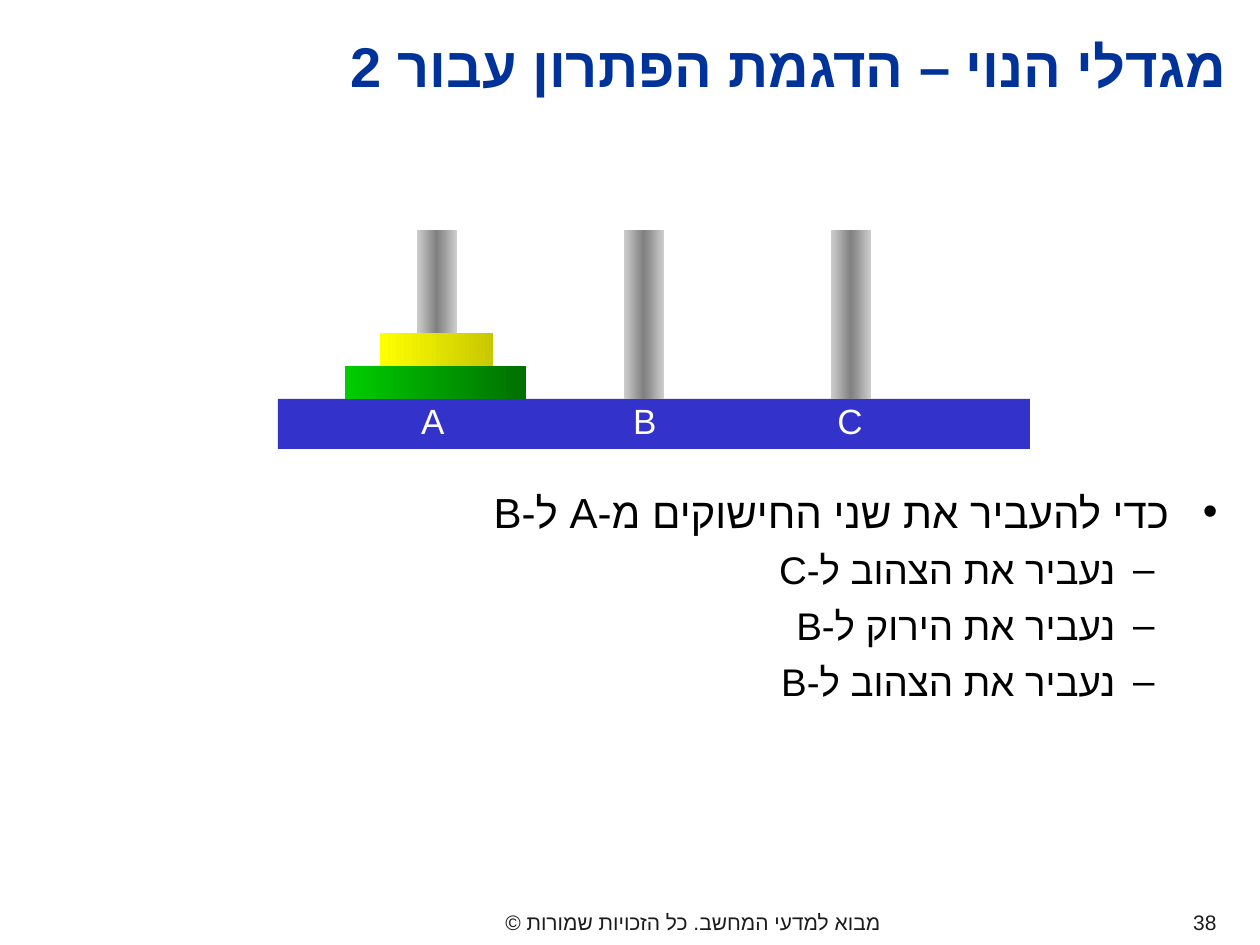
from dataclasses import dataclass

from lxml.etree import SubElement
from pptx import Presentation
from pptx.dml.color import RGBColor
from pptx.enum.shapes import MSO_SHAPE
from pptx.enum.text import MSO_ANCHOR, MSO_AUTO_SIZE, PP_ALIGN
from pptx.oxml.ns import qn
from pptx.util import Emu, Pt

EMU_PER_PX = 914400 / 126


def px(n):
    return Emu(round(n * EMU_PER_PX))


@dataclass(frozen=True)
class Theme:
    font: str = "Arial"
    title: str = "003399"
    text: str = "000000"
    footer: str = "1C1C1C"
    label: str = "FFFFFF"
    base: str = "3333CC"
    pole: tuple = ("CDCDCD", "808080", "CDCDCD")
    green: tuple = ("00CC00", "007000")
    yellow: tuple = ("FFFF00", "C8C800")
    title_size: int = 32
    body_size: int = 24
    sub_size: int = 22
    label_size: int = 20
    footer_size: int = 12


class Deck:
    """Style and current slide, with a method for each kind of element."""

    def __init__(self, theme):
        self.theme = theme
        self.prs = Presentation()
        self.prs.slide_width, self.prs.slide_height = px(1260), px(945)
        self.s = self.prs.slides.add_slide(self.prs.slide_layouts[1])

    def place(self, sp, box):
        sp.left, sp.top, sp.width, sp.height = map(px, box)

    def add_text(self, p, text, size, color, align=PP_ALIGN.RIGHT, bold=False, before=0):
        p.alignment = align
        p.space_before = Pt(before)
        p._p.get_or_add_pPr().set("rtl", "1")
        r = p.add_run()
        r.text = text
        r.font.name = self.theme.font
        r.font.size = Pt(size)
        r.font.bold = bold
        r.font.color.rgb = RGBColor.from_string(color)
        SubElement(r._r.rPr, qn("a:cs"), typeface=self.theme.font)

    def title(self, box, text):
        sp = self.s.shapes.title
        self.place(sp, box)
        tf = sp.text_frame
        tf.auto_size = MSO_AUTO_SIZE.NONE
        tf.vertical_anchor = MSO_ANCHOR.MIDDLE
        self.add_text(tf.paragraphs[0], text, self.theme.title_size, self.theme.title, bold=True)

    def bullets(self, box, items):
        sp = self.s.placeholders[1]
        self.place(sp, box)
        tf = sp.text_frame
        tf.auto_size = MSO_AUTO_SIZE.NONE
        styles = ((self.theme.body_size, 6, 48, -48, "•"), (self.theme.sub_size, 5.5, 102, -39, "–"))
        for i, (level, text) in enumerate(items):
            p = tf.add_paragraph() if i else tf.paragraphs[0]
            p.level = level
            size, before, margin, indent, char = styles[level]
            self.add_text(p, text, size, self.theme.text, before=before)
            pPr = p._p.pPr
            pPr.set("marL", str(px(margin)))
            pPr.set("indent", str(px(indent)))
            SubElement(pPr, qn("a:buChar"), char=char)

    def text(self, box, text, size, color, align=PP_ALIGN.CENTER, wrap=True, before=0):
        sp = self.s.shapes.add_textbox(*map(px, box))
        tf = sp.text_frame
        tf.word_wrap = wrap
        self.add_text(tf.paragraphs[0], text, size, color, align, before=before)

    def bar(self, box, *colors):
        sp = self.s.shapes.add_shape(MSO_SHAPE.RECTANGLE, *map(px, box))
        sp.shadow.inherit = False
        sp.line.fill.background()
        if len(colors) == 1:
            sp.fill.solid()
            sp.fill.fore_color.rgb = RGBColor.from_string(colors[0])
            return
        sp.fill.gradient()
        sp.fill.gradient_angle = 0
        stops = sp._element.spPr.find(qn("a:gradFill")).find(qn("a:gsLst"))
        for gs in list(stops):
            stops.remove(gs)
        for i, color in enumerate(colors):
            gs = SubElement(stops, qn("a:gs"), pos=str(100000 * i // (len(colors) - 1)))
            SubElement(gs, qn("a:srgbClr"), val=color)


def main():
    t = Theme()
    d = Deck(t)
    d.text((231, 903, 924, 42), "מבוא למדעי המחשב. כל הזכויות שמורות ©", t.footer_size, t.footer)
    d.text((1165, 903, 64, 42), "38", t.footer_size, t.footer, PP_ALIGN.RIGHT)
    d.title((199, 9, 1041, 113), "מגדלי הנוי – הדגמת הפתרון עבור 2")
    d.bullets((38, 480, 1192, 290), (
        (0, "כדי להעביר את שני החישוקים מ-A ל-B"),
        (1, "נעביר את הצהוב ל-C"),
        (1, "נעביר את הירוק ל-B"),
        (1, "נעביר את הצהוב ל-B"),
    ))

    base_top, disk_height = 399, 33
    d.bar((278, base_top, 752, 50), t.base)
    for i in range(3):
        d.bar((417 + 207 * i, 230, 40, base_top - 230), *t.pole)
    disks = ((345, 181, t.green), (380, 113, t.yellow))
    for i, (left, width, colors) in enumerate(disks, 1):
        d.bar((left, base_top - disk_height * i, width, disk_height), *colors)
    for left, name in zip((412, 624, 830), "ABC"):
        d.text((left, 393, 45, 55), name, t.label_size, t.label, wrap=False, before=12.5)

    d.prs.save("out.pptx")


if __name__ == "__main__":
    main()
